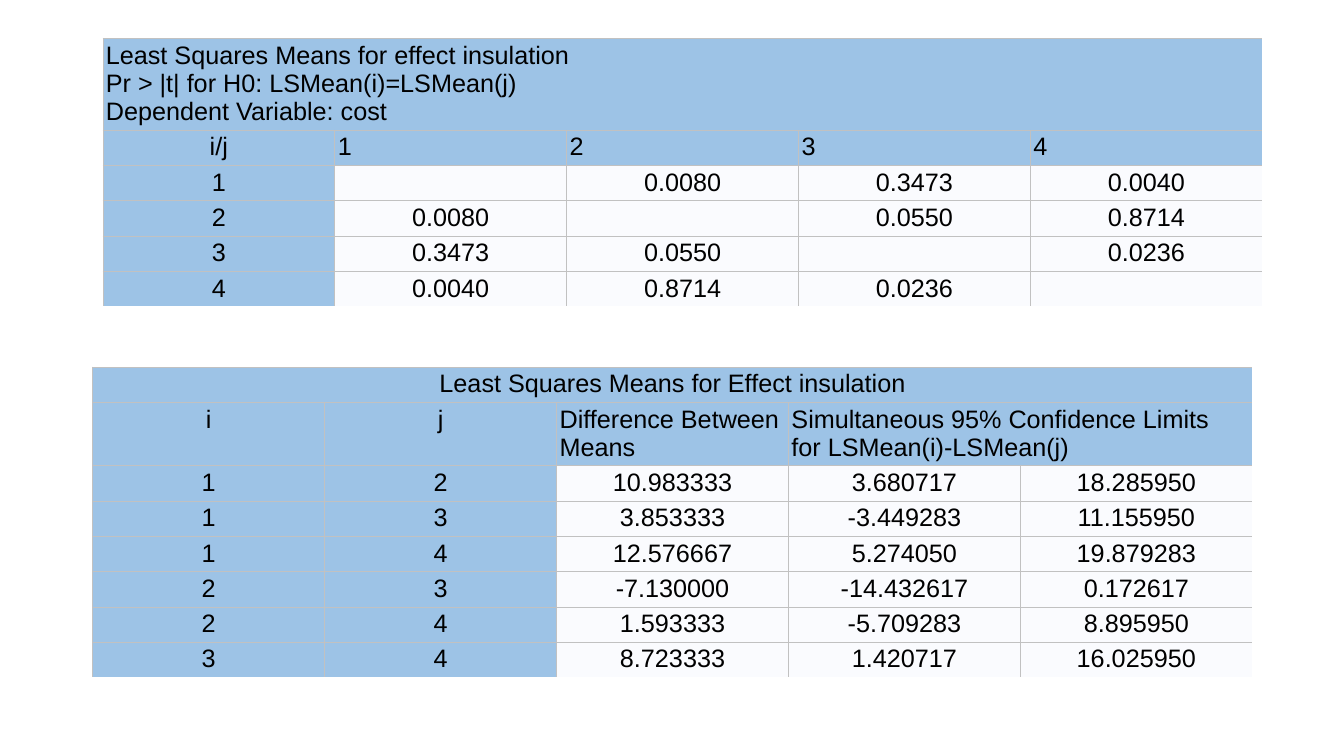
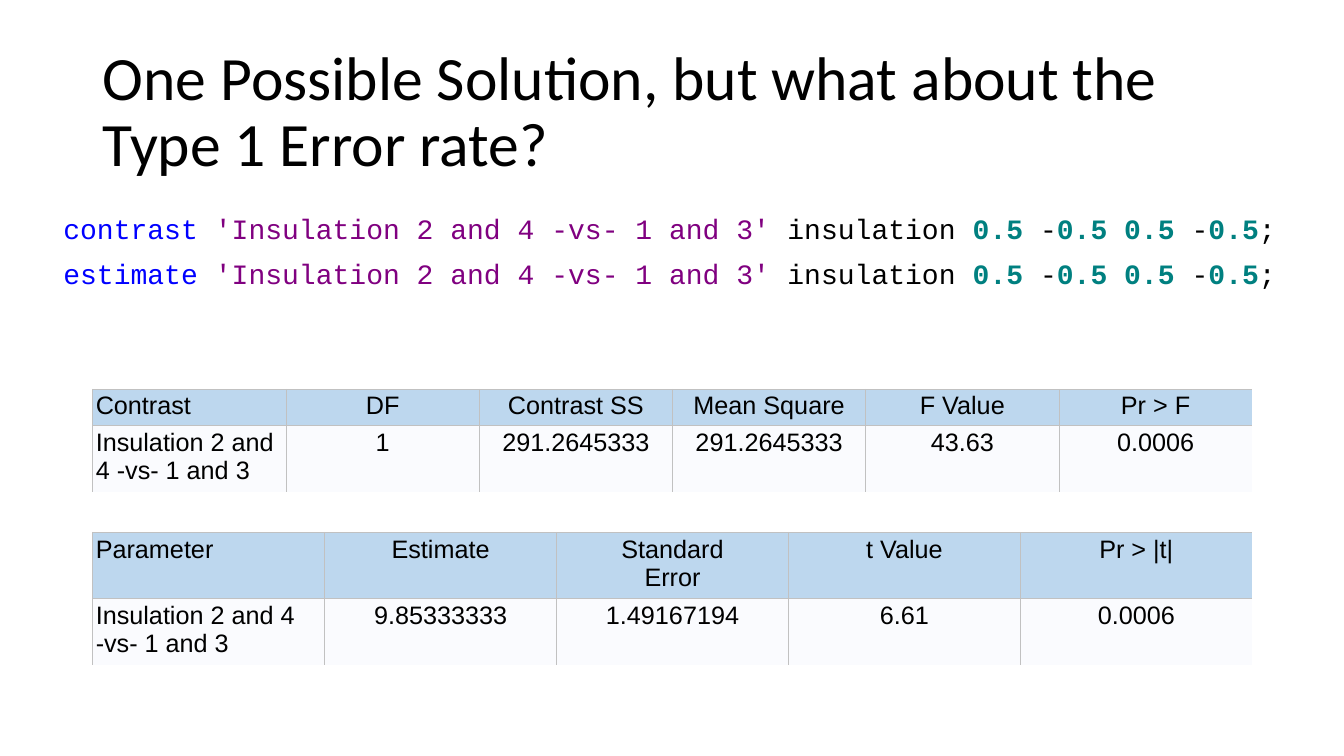
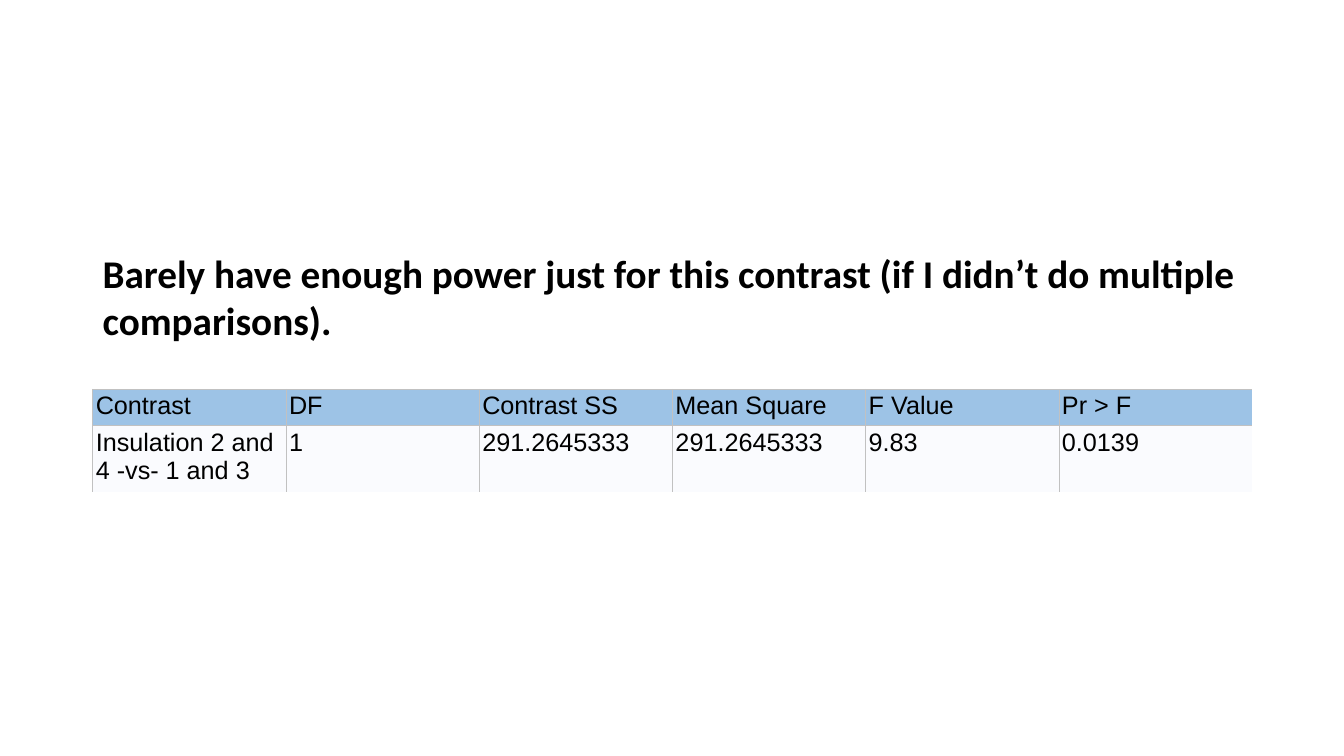
"""Build three slides on least squares means and contrasts for the insulation data."""
from lxml import etree
from pptx import Presentation
from pptx.dml.color import RGBColor
from pptx.enum.text import MSO_ANCHOR, MSO_AUTO_SIZE, PP_ALIGN
from pptx.oxml.ns import qn
from pptx.util import Inches, Pt

LEFT, CENTER = PP_ALIGN.LEFT, PP_ALIGN.CENTER
MIDDLE, NO_AUTOFIT = MSO_ANCHOR.MIDDLE, MSO_AUTO_SIZE.NONE
TITLE_ONLY, BLANK = 5, 6

COLORS = {
    "text": "000000",
    "header": "9DC3E6",
    "light_header": "BDD7EE",
    "body": "FAFBFE",
    "border": "C1C1C1",
    "keyword": "0000FF",
    "string": "800080",
    "number": "008080",
}
MARGIN, CONTENT_WIDTH = 0.92, 11.5
CELL_INSET = 0.03
BORDER_WIDTH = 0.5
FIRST_LINE, NEXT_LINE = 0.35, 0.28
PLAIN_TABLE_STYLE = "{2D5ABB26-0587-4C30-8999-92F81FD0307C}"

PAIRWISE_P_VALUES = [
    ["Least Squares Means for effect insulation\n"
     "Pr > |t| for H0: LSMean(i)=LSMean(j)\nDependent Variable: cost"] + [None] * 4,
    ["i/j", "1", "2", "3", "4"],
    ["1", "", "0.0080", "0.3473", "0.0040"],
    ["2", "0.0080", "", "0.0550", "0.8714"],
    ["3", "0.3473", "0.0550", "", "0.0236"],
    ["4", "0.0040", "0.8714", "0.0236", ""],
]
CONFIDENCE_LIMITS = [
    ["Least Squares Means for Effect insulation"] + [None] * 4,
    ["i", "j", "Difference Between\nMeans",
     "Simultaneous 95% Confidence Limits\nfor LSMean(i)-LSMean(j)", None],
    ["1", "2", "10.983333", "3.680717", "18.285950"],
    ["1", "3", "3.853333", "-3.449283", "11.155950"],
    ["1", "4", "12.576667", "5.274050", "19.879283"],
    ["2", "3", "-7.130000", "-14.432617", "0.172617"],
    ["2", "4", "1.593333", "-5.709283", "8.895950"],
    ["3", "4", "8.723333", "1.420717", "16.025950"],
]
CONTRAST_HEADER = ["Contrast", "DF", "Contrast SS", "Mean Square", "F Value", "Pr > F"]
CONTRAST_LABEL = "Insulation 2 and 4 -vs- 1 and 3"
CONTRAST_START = [CONTRAST_LABEL, "1", "291.2645333", "291.2645333"]
ESTIMATE = [
    ["Parameter", "Estimate", "Standard\nError", "t Value", "Pr > |t|"],
    [CONTRAST_LABEL, "9.85333333", "1.49167194", "6.61", "0.0006"],
]


def color(name):
    """Return a named colour."""
    return RGBColor.from_string(COLORS[name])


def set_font(paragraph, name, size, bold=False):
    """Set the font that all runs of a paragraph share."""
    font = paragraph.font
    font.name, font.size, font.bold = name, Pt(size), bold
    font.color.rgb = color("text")


def add_text_box(slide, left, top, width, height):
    """Add a wrapping text box and return its text frame."""
    text_frame = slide.shapes.add_textbox(
        Inches(left), Inches(top), Inches(width), Inches(height)).text_frame
    text_frame.word_wrap = True
    return text_frame


def set_title(slide, text):
    """Place and format the slide title."""
    title = slide.shapes.title
    title.left, title.top = Inches(MARGIN), Inches(0.4)
    title.width, title.height = Inches(CONTENT_WIDTH), Inches(1.45)
    title.text_frame.vertical_anchor = MIDDLE
    title.text_frame.auto_size = NO_AUTOFIT
    paragraph = title.text_frame.paragraphs[0]
    paragraph.text = text
    paragraph.alignment = LEFT
    paragraph.line_spacing = 0.9
    set_font(paragraph, "Calibri", 44)


def add_code_line(paragraph, keyword):
    """Write one highlighted statement."""
    paragraph.line_spacing = 0.9
    paragraph.space_before = Pt(10)
    set_font(paragraph, "Courier New", 20)
    tokens = [
        (f"{keyword} ", "keyword"), (f"'{CONTRAST_LABEL}'", "string"),
        (" insulation ", "text"), ("0.5", "number"), (" -", "text"),
        ("0.5 0.5", "number"), (" -", "text"), ("0.5", "number"), (";", "text"),
    ]
    for text, kind in tokens:
        run = paragraph.add_run()
        run.text = text
        run.font.color.rgb = color(kind)
        run.font.bold = kind == "number"


def add_borders(cell, sides):
    """Draw thin lines on the given sides of a cell."""
    properties = cell._tc.get_or_add_tcPr()
    for side in sides:
        line = etree.SubElement(properties, qn(f"a:ln{side}"), w=str(Pt(BORDER_WIDTH)))
        fill = etree.SubElement(line, qn("a:solidFill"))
        etree.SubElement(fill, qn("a:srgbClr"), val=COLORS["border"])


def format_cell(cell, text, fill, alignment, sides):
    """Fill in one table cell."""
    cell.margin_left = cell.margin_right = Inches(CELL_INSET)
    cell.margin_top = cell.margin_bottom = Inches(CELL_INSET)
    add_borders(cell, sides)
    cell.fill.solid()
    cell.fill.fore_color.rgb = color(fill)
    paragraph = cell.text_frame.paragraphs[0]
    paragraph.text = text
    paragraph.alignment = alignment
    set_font(paragraph, "Arial", 18)


def add_table(slide, top, rows, line_counts, left_cells, left=MARGIN,
              header_rows=1, header_columns=0, header_fill="header"):
    """Add a table in which None continues the cell to its left."""
    row_count, column_count = len(rows), len(rows[0])
    heights = [FIRST_LINE + NEXT_LINE * (lines - 1) for lines in line_counts]
    frame = slide.shapes.add_table(
        row_count, column_count, Inches(left), Inches(top),
        Inches(CONTENT_WIDTH), Inches(sum(heights)))
    table = frame.table
    table.first_row = table.horz_banding = False
    next(frame.element.iter(qn("a:tableStyleId"))).text = PLAIN_TABLE_STYLE
    for row, height in zip(table.rows, heights):
        row.height = Inches(height)
    for row, texts in enumerate(rows):
        for column, text in enumerate(texts):
            if text is None:
                continue
            end = column + 1
            while end < column_count and texts[end] is None:
                end += 1
            cell = table.cell(row, column)
            if end > column + 1:
                cell.merge(table.cell(row, end - 1))
            is_header = row < header_rows or column < header_columns
            sides = ["L", "T"]
            if end < column_count:
                sides.insert(1, "R")
            if row < row_count - 1:
                sides.append("B")
            format_cell(cell, text, header_fill if is_header else "body",
                        LEFT if (row, column) in left_cells else CENTER, sides)


def build_means_slide(presentation):
    """Show pairwise p-values and confidence limits."""
    slide = presentation.slides.add_slide(presentation.slide_layouts[BLANK])
    left_cells = {(0, 0)} | {(1, column) for column in range(1, 5)}
    add_table(slide, 0.38, PAIRWISE_P_VALUES, [3] + [1] * 5, left_cells,
              left=1.02, header_rows=2, header_columns=1)
    add_table(slide, 3.64, CONFIDENCE_LIMITS, [1, 2] + [1] * 6, {(1, 2), (1, 3)},
              header_rows=2, header_columns=2)


def build_solution_slide(presentation):
    """Show the contrast statements and their results."""
    slide = presentation.slides.add_slide(presentation.slide_layouts[TITLE_ONLY])
    set_title(slide, "One Possible Solution, but what about the Type 1 Error rate?")
    text_frame = add_text_box(slide, 0.53, 2.09, 12.37, 1.2)
    add_code_line(text_frame.paragraphs[0], "contrast")
    add_code_line(text_frame.add_paragraph(), "estimate")
    first_column = {(0, 0), (1, 0)}
    add_table(slide, 3.86, [CONTRAST_HEADER, CONTRAST_START + ["43.63", "0.0006"]],
              [1, 2], first_column, header_fill="light_header")
    add_table(slide, 5.28, ESTIMATE, [2, 2], first_column, header_fill="light_header")


def build_power_slide(presentation):
    """Show the adjusted contrast with a remark on power."""
    slide = presentation.slides.add_slide(presentation.slide_layouts[BLANK])
    all_cells = {(row, column) for row in range(2) for column in range(6)}
    add_table(slide, 3.86, [CONTRAST_HEADER, CONTRAST_START + ["9.83", "0.0139"]],
              [1, 2], all_cells)
    paragraph = add_text_box(slide, MARGIN, 2.42, 11.6, 1.04).paragraphs[0]
    paragraph.text = ("Barely have enough power just for this contrast "
                      "(if I didn’t do multiple comparisons).")
    set_font(paragraph, "Calibri", 28, bold=True)


def main():
    """Build and save the presentation."""
    presentation = Presentation()
    presentation.slide_width, presentation.slide_height = Inches(13.33), Inches(7.5)
    build_means_slide(presentation)
    build_solution_slide(presentation)
    build_power_slide(presentation)
    presentation.save("out.pptx")


if __name__ == "__main__":
    main()
